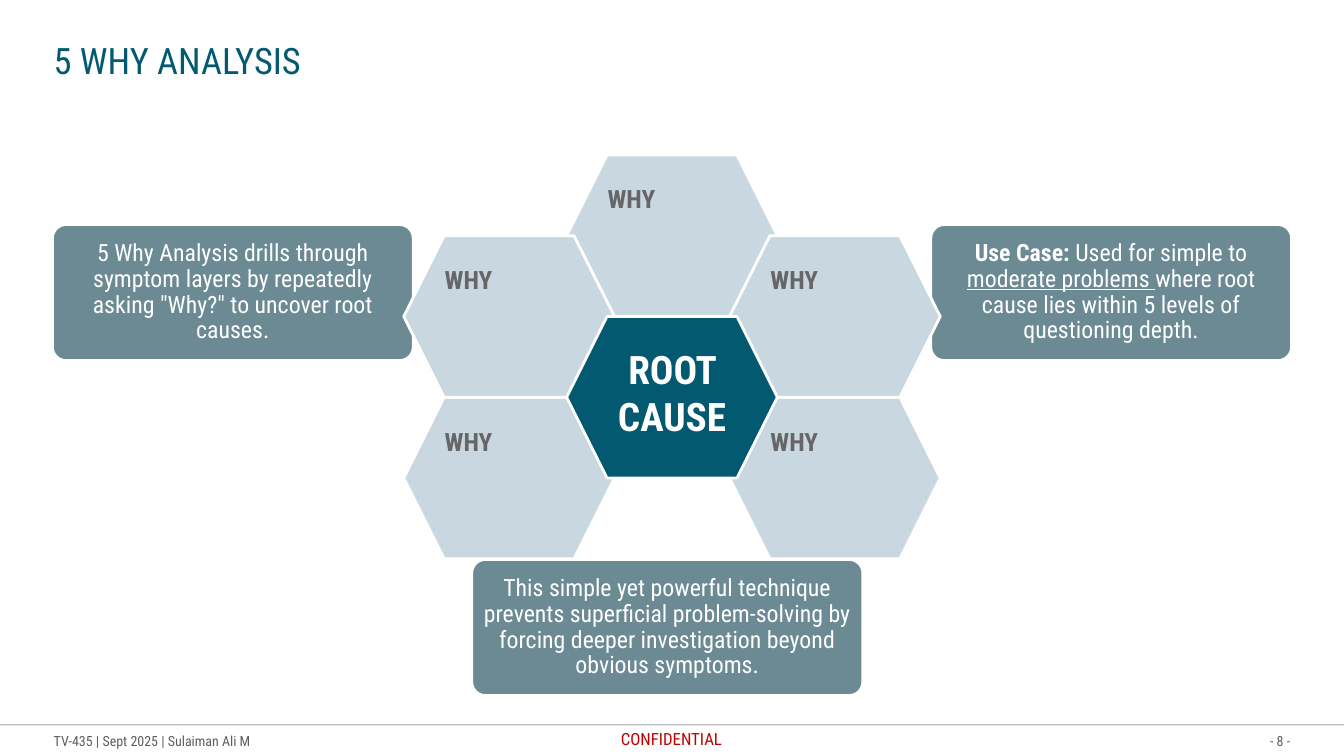
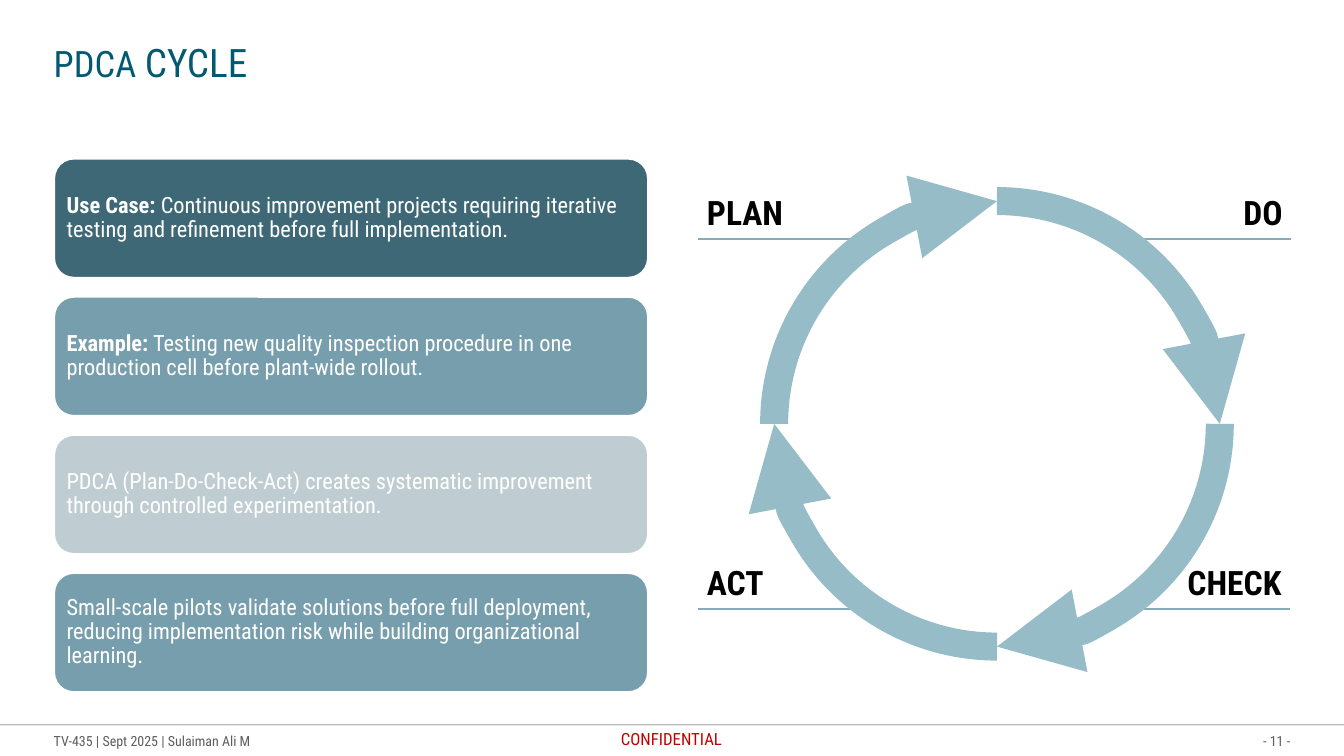
from lxml import etree
from pptx import Presentation
from pptx import util as u
from pptx.dml.color import RGBColor
from pptx.enum import shapes, text
from pptx.oxml.ns import qn

FONT = "Roboto Condensed"
COLORS = {
    "title": "035970", "white": "FFFFFF", "black": "000000", "footer": "5E5E5E",
    "alert": "C00000", "callout": "6B8A94", "why": "C8D7E0", "why_text": "666666",
    "dark": "3E6875", "medium": "769EAC", "light": "BFCDD2",
    "rule": "85ACB9", "arrow": "96BCC7",
}
RGB = {name: RGBColor.from_string(value) for name, value in COLORS.items()}
LEFT, CENTER, RIGHT = text.PP_ALIGN.LEFT, text.PP_ALIGN.CENTER, text.PP_ALIGN.RIGHT
TOP, MIDDLE = text.MSO_ANCHOR.TOP, text.MSO_ANCHOR.MIDDLE
SHAPE = shapes.MSO_SHAPE
BOLD, UNDERLINE = {"bold": True}, {"underline": True}

presentation = Presentation()
presentation.slide_width = u.Inches(13.33)
presentation.slide_height = u.Inches(7.5)
COLUMN = presentation.slide_width / 100
ROW = presentation.slide_height / 100
MARGIN, CONTENT = 4, 92


def add_box(slide, left, top, width, height, kind=None, fill=None):
    area = [int(left * COLUMN), int(top * ROW), int(width * COLUMN), int(height * ROW)]
    if kind is None:
        return slide.shapes.add_textbox(*area)
    shape = slide.shapes.add_shape(kind, *area)
    shape.shadow.inherit = False
    if fill:
        shape.fill.solid()
        shape.fill.fore_color.rgb = RGB[fill]
        shape.line.color.rgb = RGB["white"]
        shape.line.width = u.Pt(2)
    else:
        shape.fill.background()
    return shape


def write(frame, runs, color, size, align=LEFT, anchor=TOP, inset=0.0, spacing=None):
    frame.word_wrap = True
    frame.vertical_anchor = anchor
    if inset is not None:
        frame.margin_left = frame.margin_right = u.Inches(inset)
        frame.margin_top = frame.margin_bottom = u.Inches(inset)
    paragraph = frame.paragraphs[0]
    paragraph.alignment = align
    if spacing:
        paragraph.line_spacing = spacing
    for words, style in runs:
        run = paragraph.add_run()
        run.text = words
        run.font.name = FONT
        run.font.size = u.Pt(style.get("size", size))
        run.font.bold = style.get("bold", False)
        run.font.underline = style.get("underline", False)
        run.font.color.rgb = RGB[color]


pages = [
    ([("5 WHY ANALYSIS", {})], "- 8 -"),
    ([("PDCA ", {}), ("CYCLE", {"size": 28})], "- 11 -"),
]
slides = []
for title, number in pages:
    slide = presentation.slides.add_slide(presentation.slide_layouts[6])
    slides.append(slide)
    rule_top = int(95.87 * ROW)
    rule = slide.shapes.add_connector(
        shapes.MSO_CONNECTOR.STRAIGHT, 0, rule_top, presentation.slide_width, rule_top)
    rule.line.color.rgb = RGB["black"]
    rule.line.width = u.Pt(1)
    properties = rule.line._get_or_add_ln()
    etree.SubElement(properties.find(".//" + qn("a:srgbClr")), qn("a:alpha"), val="25000")
    etree.SubElement(properties.getparent(), qn("a:effectLst"))
    write(add_box(slide, 46.2, 96.4, 9, 2.67).text_frame,
          [("CONFIDENTIAL", {})], "alert", 12)
    for words, left, align in [("TV-435 | Sept 2025 | Sulaiman Ali M", MARGIN, LEFT),
                               (number, MARGIN + CONTENT - 20, RIGHT)]:
        write(add_box(slide, left, 96.93, 20, 2.27).text_frame,
              [(words, {})], "footer", 10, align, MIDDLE)
    write(add_box(slide, MARGIN, 5.07, CONTENT, 6).text_frame, title, "title", 26)

why_slide, cycle_slide = slides

callouts = [
    (3.9, 29.7, 26.85, [(
        "5 Why Analysis drills through symptom layers by repeatedly asking \"Why?\" "
        "to uncover root causes.", {})]),
    (35.1, 74, 29.1, [(
        "This simple yet powerful technique prevents superficial problem-solving "
        "by forcing deeper investigation beyond obvious symptoms.", {})]),
    (69.25, 29.7, 26.85, [
        ("Use Case: ", BOLD), ("Used for simple to ", {}),
        ("moderate problems ", UNDERLINE),
        ("where root cause lies within 5 levels of questioning depth.", {})]),
]
for left, top, width, runs in callouts:
    callout = add_box(why_slide, left, top, width, 18, SHAPE.ROUNDED_RECTANGLE, "callout")
    callout.adjustments[0] = 0.1
    write(callout.text_frame, runs, "white", 17, CENTER, MIDDLE, 0.07, 0.9)

HEX_WIDTH, HEX_HEIGHT, HEX_STEP = 15.68, 21.36, 12.12
cells = [(1, 1), (0, -2), (-1, 1), (-1, -1), (1, -1), (0, 0)]
for across, down in cells:
    is_root = (across, down) == (0, 0)
    hexagon = add_box(
        why_slide,
        50 + across * HEX_STEP - HEX_WIDTH / 2,
        52.55 + (down - 1) * HEX_HEIGHT / 2,
        HEX_WIDTH, HEX_HEIGHT, SHAPE.HEXAGON, "title" if is_root else "why")
    if is_root:
        write(hexagon.text_frame, [("ROOT CAUSE", BOLD)], "white", 28, CENTER, inset=None)
    else:
        write(hexagon.text_frame, [("WHY", BOLD)], "why_text", 18, inset=None)

cards = [
    ("dark", [("Use Case:", BOLD), (
        " Continuous improvement projects requiring iterative testing and refinement "
        "before full implementation.", {})]),
    ("medium", [("Example:", BOLD), (
        " Testing new quality inspection procedure in one production cell before "
        "plant-wide rollout.", {})]),
    ("light", [(
        "PDCA (Plan-Do-Check-Act) creates systematic improvement through controlled "
        "experimentation.", {})]),
    ("medium", [(
        "Small-scale pilots validate solutions before full deployment, reducing "
        "implementation risk while building organizational learning.", {})]),
]
for index, (fill, runs) in enumerate(cards):
    card = add_box(cycle_slide, MARGIN, 20.93 + index * 18.27, 44.25, 15.87,
                   SHAPE.ROUNDED_RECTANGLE, fill)
    write(card.text_frame, runs, "white", 16, LEFT, MIDDLE, 0.07, 0.9)

labels = [
    ("DO", 84.7, 25.2, 11.33, RIGHT),
    ("PLAN", 52, 25.2, 11.4, LEFT),
    ("CHECK", 83.2, 74.13, 12.75, RIGHT),
    ("ACT", 52, 74.13, 11.4, LEFT),
]
for words, left, top, width, align in labels:
    table = cycle_slide.shapes.add_table(
        2, 1, int(left * COLUMN), int(top * ROW),
        int(width * COLUMN), int(11.4 * ROW)).table
    table.first_row = table.horz_banding = False
    for row, height, edge in [(0, 6.2, "a:lnB"), (1, 5.2, "a:lnT")]:
        table.rows[row].height = int(height * ROW)
        cell = table.cell(row, 0)
        border = etree.SubElement(
            cell._tc.get_or_add_tcPr(), qn(edge), w=str(u.Pt(1.5)))
        paint = etree.SubElement(border, qn("a:solidFill"))
        etree.SubElement(paint, qn("a:srgbClr"), val=COLORS["rule"])
        cell.fill.solid()
        cell.fill.fore_color.rgb = RGB["white"]
    label = table.cell(0, 0)
    write(label.text_frame, [(words, BOLD)], "black", 24, align, inset=None)
    label.margin_left = label.margin_right = u.Inches(0.08)
    label.margin_top = label.margin_bottom = u.Inches(0.04)

for quarter in range(4):
    arc = add_box(cycle_slide, 57.6, 26.6, 33.16, 58.93, SHAPE.ARC)
    arc.rotation = quarter * 90
    arc.line.color.rgb = RGB["arrow"]
    arc.line.width = u.Pt(20)
    etree.SubElement(arc.line._get_or_add_ln(), qn("a:tailEnd"), type="triangle")

presentation.save("out.pptx")
